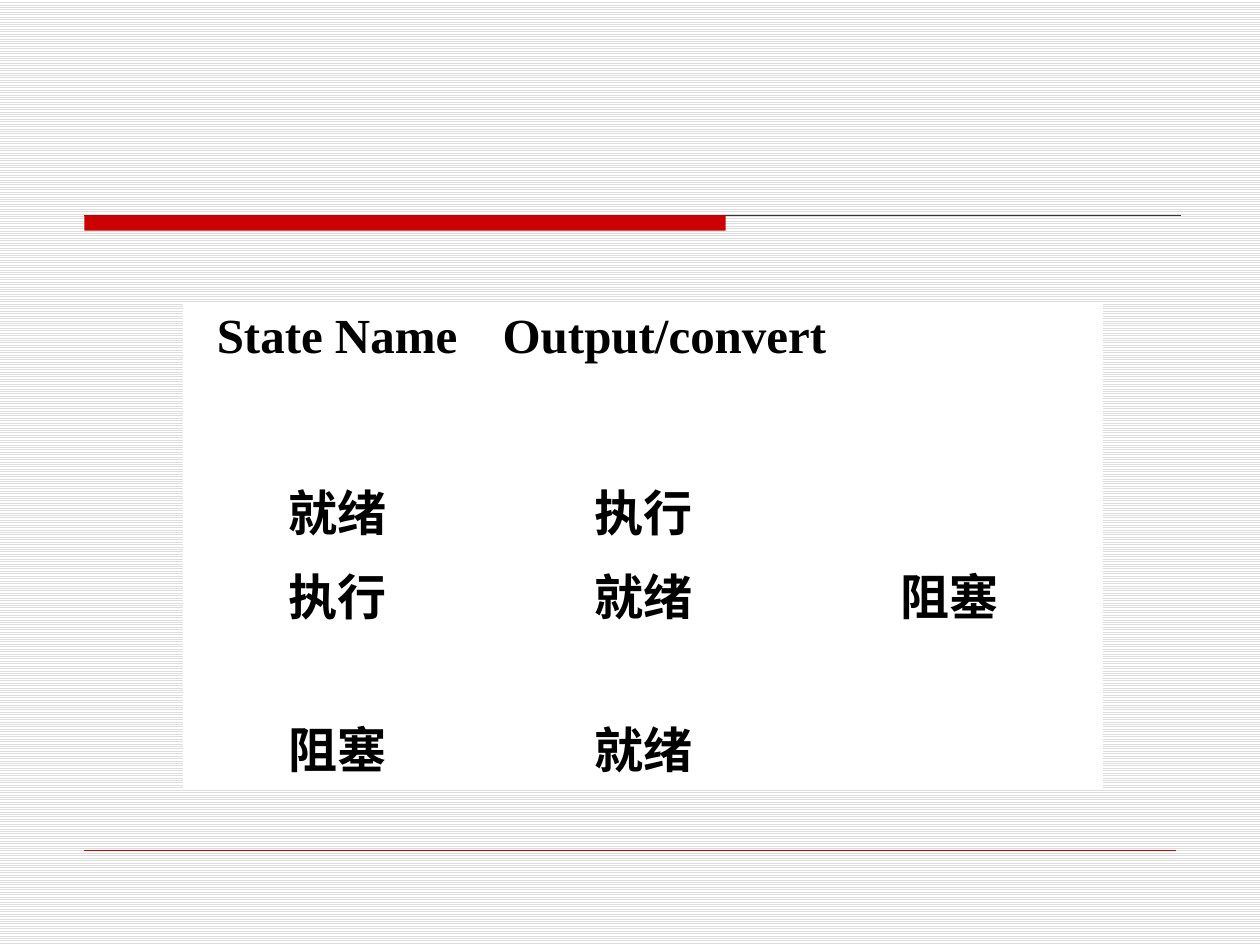
"""Build a slide with a table of process states and their transitions."""
from typing import NamedTuple

from lxml import etree
from pptx import Presentation
from pptx import util as u
from pptx.dml.color import RGBColor
from pptx.enum import dml, shapes, text
from pptx.oxml import ns

RED, DARK, WHITE, BLACK = "CC0000", "333333", "FFFFFF", "000000"
LATIN, CHINESE = "Times New Roman", "Noto Sans CJK SC"
LEFT, BAR_TOP = 0.67, 1.71
COLUMN_WIDTH = 2.43
CELL_FORMAT = {"size": u.Pt(28), "bold": True}


class Rule(NamedTuple):
    y: float
    start: float
    end: float
    color: str
    weight: float


class StateRow(NamedTuple):
    height: float
    entries: tuple
    font: str = CHINESE


RULES = (
    Rule(BAR_TOP, LEFT, 9.37, DARK, 0.75),
    Rule(6.75, LEFT, 9.33, RED, 0.25),
)
STATES = (
    StateRow(1.31, ("State Name", "Output/convert", ""), LATIN),
    StateRow(0.66, ("就绪", "执行", "")),
    StateRow(1.22, ("执行", "就绪", "阻塞")),
    StateRow(0.66, ("阻塞", "就绪", "")),
)


def rgb(value: str) -> RGBColor:
    return RGBColor.from_string(value)


def draw_background(slide) -> None:
    fill = slide.background.fill
    fill.patterned()
    fill.pattern = dml.MSO_PATTERN.LIGHT_HORIZONTAL
    fill.fore_color.rgb = rgb("DDDDDD")
    fill.back_color.rgb = rgb(WHITE)


def draw_rule(slide, rule: Rule) -> None:
    line = slide.shapes.add_connector(
        shapes.MSO_CONNECTOR.STRAIGHT,
        u.Inches(rule.start), u.Inches(rule.y), u.Inches(rule.end), u.Inches(rule.y),
    )
    line.line.color.rgb = rgb(rule.color)
    line.line.width = u.Pt(rule.weight)
    etree.SubElement(line._element.spPr, ns.qn("a:effectLst"))


def draw_bar(slide) -> None:
    bar = slide.shapes.add_shape(
        shapes.MSO_SHAPE.RECTANGLE,
        u.Inches(LEFT), u.Inches(BAR_TOP), u.Inches(5.09), u.Inches(0.12),
    )
    bar.shadow.inherit = False
    bar.fill.solid()
    bar.fill.fore_color.rgb = rgb(RED)
    bar.line.fill.background()


def style_cell(cell) -> None:
    properties = cell._tc.get_or_add_tcPr()
    for side in ("lnL", "lnR", "lnT", "lnB"):
        border = etree.SubElement(properties, ns.qn(f"a:{side}"), w=str(u.Pt(1)))
        solid = etree.SubElement(border, ns.qn("a:solidFill"))
        etree.SubElement(solid, ns.qn("a:srgbClr"), val=WHITE)
    cell.fill.solid()
    cell.fill.fore_color.rgb = rgb(WHITE)


def write_entry(cell, entry: str, font_name: str, align: text.PP_ALIGN) -> None:
    paragraph = cell.text_frame.paragraphs[0]
    paragraph.alignment = align
    run = paragraph.add_run()
    run.text = entry
    for attribute, value in {**CELL_FORMAT, "name": font_name}.items():
        setattr(run.font, attribute, value)
    run.font.color.rgb = rgb(BLACK)
    etree.SubElement(run._r.get_or_add_rPr(), ns.qn("a:ea"), typeface=font_name)


def draw_states(slide) -> None:
    columns = len(STATES[0].entries)
    table = slide.shapes.add_table(
        len(STATES), columns, u.Inches(1.46), u.Inches(2.41),
        u.Inches(COLUMN_WIDTH * columns), u.Inches(sum(state.height for state in STATES)),
    ).table
    for column in table.columns:
        column.width = u.Inches(COLUMN_WIDTH)
    for row, state in enumerate(STATES):
        table.rows[row].height = u.Inches(state.height)
        for column, entry in enumerate(state.entries):
            cell = table.cell(row, column)
            style_cell(cell)
            if entry:
                is_wide = row == 0 and column == 1
                align = text.PP_ALIGN.LEFT if is_wide else text.PP_ALIGN.CENTER
                write_entry(cell, entry, state.font, align)
    table.cell(0, 1).merge(table.cell(0, 2))


def main() -> None:
    deck = Presentation()
    deck.slide_width, deck.slide_height = u.Inches(10), u.Inches(7.5)
    slide = deck.slides.add_slide(deck.slide_layouts[6])
    draw_background(slide)
    for rule in RULES:
        draw_rule(slide, rule)
    draw_bar(slide)
    draw_states(slide)
    deck.save("out.pptx")


if __name__ == "__main__":
    main()
